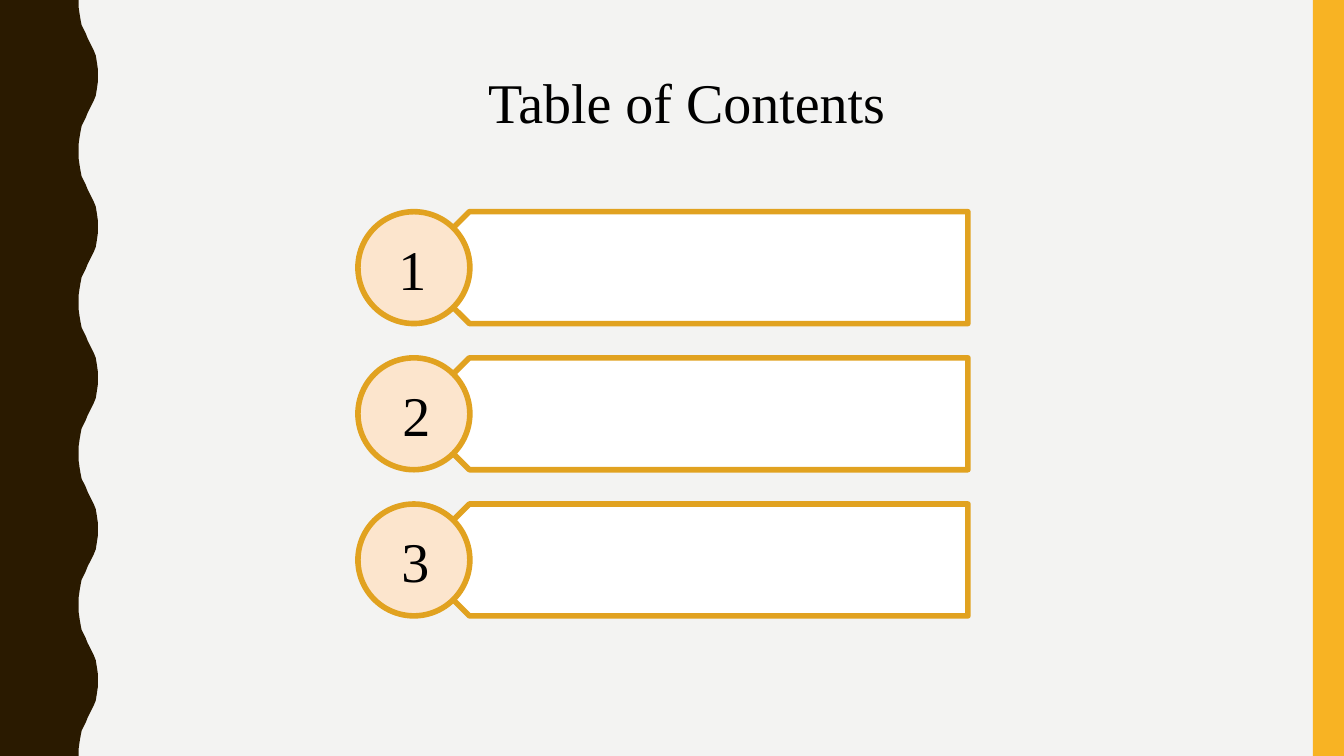
from dataclasses import dataclass

import pptx
import pptx.dml.color
import pptx.enum.shapes
import pptx.enum.text
import pptx.presentation
import pptx.shapes.autoshape
import pptx.slide
import pptx.text.text
import pptx.util

Inches = pptx.util.Inches
MSO_SHAPE = pptx.enum.shapes.MSO_SHAPE

COLOURS = {
    "background": "F3F3F2",
    "wave": "2A1A00",
    "stripe": "F8B323",
    "outline": "E1A220",
    "banner": "FFFFFF",
    "badge": "FCE5CD",
    "text": "000000",
}
FONT = "Times New Roman"
SLIDE_WIDTH, SLIDE_HEIGHT = 13.33, 7.5
STRIPE_WIDTH = 0.31

WAVE_PERIOD = 1.5
WAVE_RISE = [
    (0.78, 0), (0.78, 0.07), (0.79, 0.14), (0.8, 0.2), (0.81, 0.25),
    (0.83, 0.29), (0.85, 0.33), (0.87, 0.38), (0.89, 0.42), (0.91, 0.46),
    (0.93, 0.5), (0.95, 0.55), (0.96, 0.61), (0.97, 0.68), (0.97, 0.75),
]

FIRST_ROW_TOP, ROW_PITCH, ROW_HEIGHT = 2.1, 1.45, 1.11
BADGE_LEFT = 3.55
BANNER_LEFT, BANNER_WIDTH = 4.1, 5.5
NUMBER_DROP, NUMBER_WIDTH, NUMBER_HEIGHT = 0.17, 0.48, 0.77


@dataclass(frozen=True)
class Entry:
    number: str
    number_left: float


ENTRIES = [Entry("1", 3.85), Entry("2", 3.89), Entry("3", 3.88)]


def colour(name: str) -> pptx.dml.color.RGBColor:
    return pptx.dml.color.RGBColor.from_string(COLOURS[name])


def paint(shape: pptx.shapes.autoshape.Shape, fill: str, outlined: bool = False) -> None:
    shape.shadow.inherit = False
    shape.fill.solid()
    shape.fill.fore_color.rgb = colour(fill)
    if outlined:
        shape.line.color.rgb = colour("outline")
        shape.line.width = pptx.util.Pt(4)
    else:
        shape.line.fill.background()


def write(frame: pptx.text.text.TextFrame, text: str) -> None:
    frame.text = text
    frame.word_wrap = False
    frame.auto_size = pptx.enum.text.MSO_AUTO_SIZE.NONE
    frame.vertical_anchor = pptx.enum.text.MSO_ANCHOR.MIDDLE
    paragraph = frame.paragraphs[0]
    paragraph.alignment = pptx.enum.text.PP_ALIGN.CENTER
    font = paragraph.runs[0].font
    font.name = FONT
    font.size = pptx.util.Pt(40)
    font.color.rgb = colour("text")


def draw_wave(slide: pptx.slide.Slide) -> None:
    """Draw the left band, mirroring each rise of the wavy edge into a fall."""
    fall = [(x, WAVE_PERIOD - y) for x, y in reversed(WAVE_RISE[:-1])]
    edge = [
        (Inches(x), Inches(period * WAVE_PERIOD + y))
        for period in range(round(SLIDE_HEIGHT / WAVE_PERIOD))
        for x, y in WAVE_RISE + fall
    ]
    builder = slide.shapes.build_freeform(0, 0)
    builder.add_line_segments(edge + [(0, Inches(SLIDE_HEIGHT))], close=True)
    paint(builder.convert_to_shape(), "wave")


def draw_stripe(slide: pptx.slide.Slide) -> None:
    stripe = slide.shapes.add_shape(
        MSO_SHAPE.RECTANGLE, Inches(SLIDE_WIDTH - STRIPE_WIDTH), 0,
        Inches(STRIPE_WIDTH), Inches(SLIDE_HEIGHT))
    paint(stripe, "stripe")


def place_title(slide: pptx.slide.Slide) -> None:
    title = slide.shapes.title
    title.left, title.top = Inches(4.72), Inches(0.62)
    title.width, title.height = Inches(4.18), Inches(0.77)
    write(title.text_frame, "Table of Contents")


def draw_entry(slide: pptx.slide.Slide, entry: Entry, top: float) -> None:
    banner = slide.shapes.add_shape(
        MSO_SHAPE.PENTAGON, Inches(BANNER_LEFT), Inches(top),
        Inches(BANNER_WIDTH), Inches(ROW_HEIGHT))
    banner.rotation = 180
    paint(banner, "banner", outlined=True)

    badge = slide.shapes.add_shape(
        MSO_SHAPE.OVAL, Inches(BADGE_LEFT), Inches(top),
        Inches(ROW_HEIGHT), Inches(ROW_HEIGHT))
    paint(badge, "badge", outlined=True)

    number = slide.shapes.add_textbox(
        Inches(entry.number_left), Inches(top + NUMBER_DROP),
        Inches(NUMBER_WIDTH), Inches(NUMBER_HEIGHT))
    write(number.text_frame, entry.number)


def main() -> None:
    deck = pptx.Presentation()
    deck.slide_width, deck.slide_height = Inches(SLIDE_WIDTH), Inches(SLIDE_HEIGHT)
    slide = deck.slides.add_slide(deck.slide_layouts.get_by_name("Title Only"))
    slide.background.fill.solid()
    slide.background.fill.fore_color.rgb = colour("background")

    draw_wave(slide)
    draw_stripe(slide)
    place_title(slide)
    for row, entry in enumerate(ENTRIES):
        draw_entry(slide, entry, FIRST_ROW_TOP + row * ROW_PITCH)
    deck.save("out.pptx")


if __name__ == "__main__":
    main()
